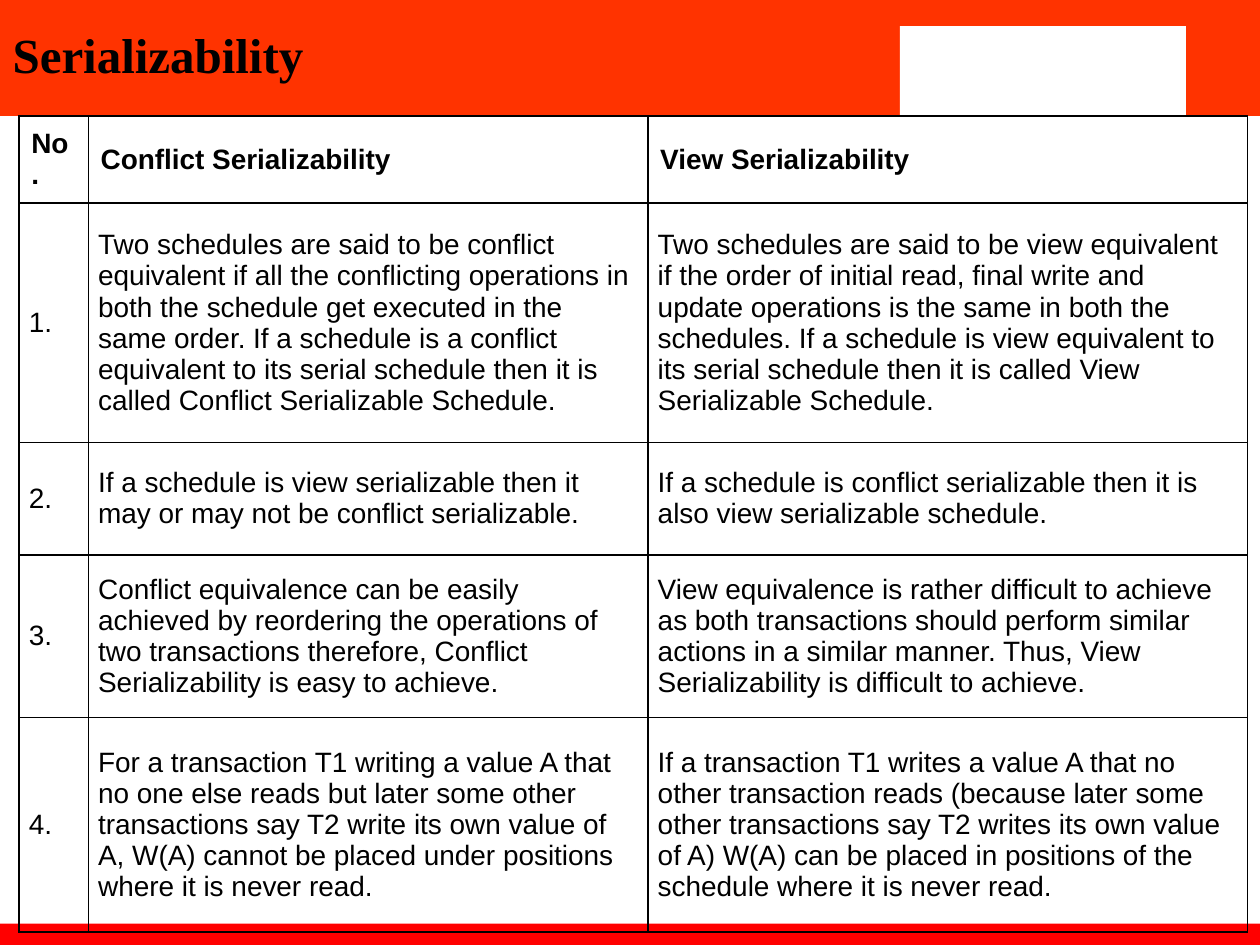
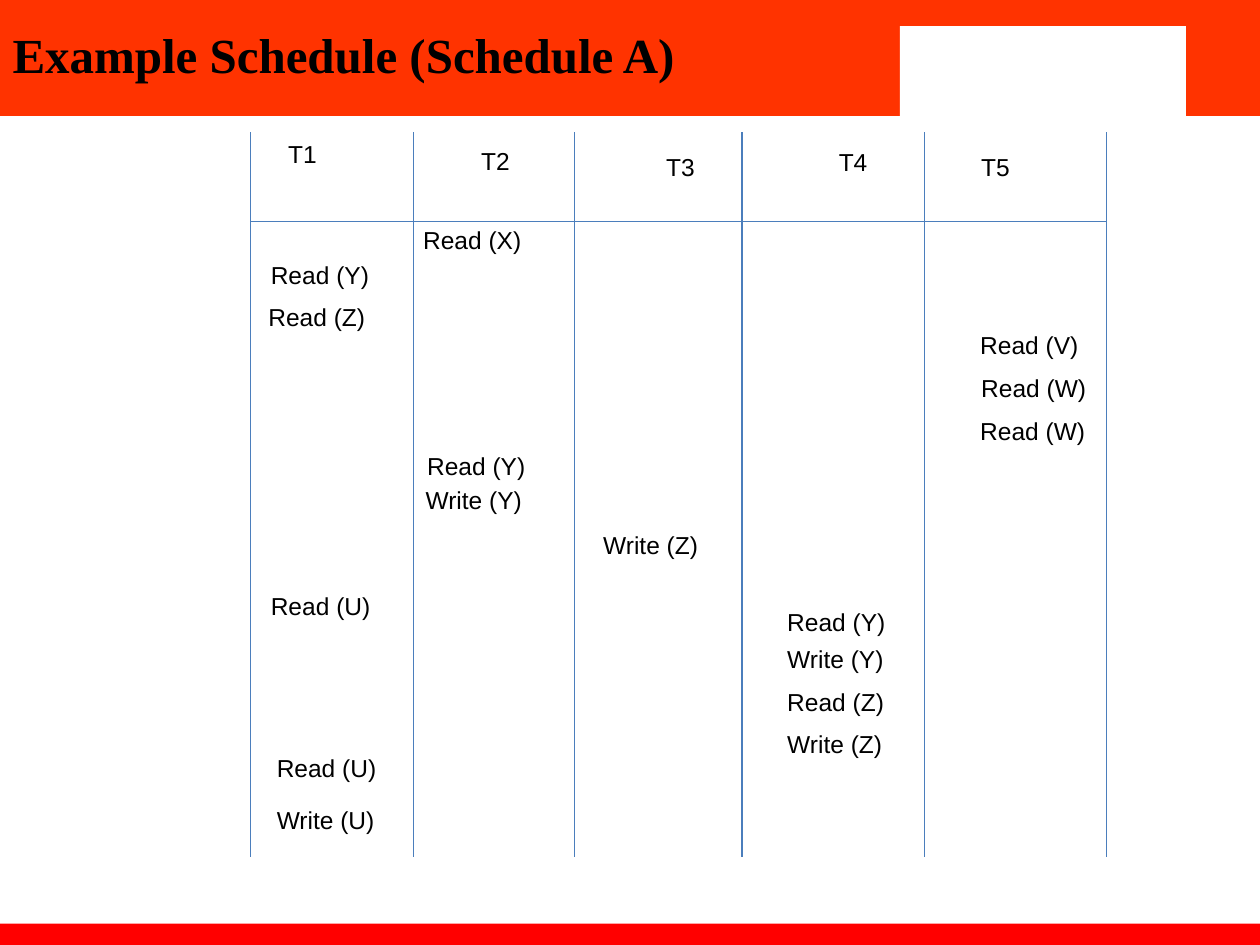
from dataclasses import dataclass

from lxml import etree
from pptx import Presentation
from pptx.dml.color import RGBColor
from pptx.enum.shapes import MSO_CONNECTOR, MSO_SHAPE
from pptx.enum.text import MSO_ANCHOR, MSO_AUTO_SIZE, PP_ALIGN
from pptx.oxml.ns import qn
from pptx.util import Cm, Pt

RECTANGLE = MSO_SHAPE.RECTANGLE
STRAIGHT = MSO_CONNECTOR.STRAIGHT
MIDDLE = MSO_ANCHOR.MIDDLE
TOP = MSO_ANCHOR.TOP
LEFT = PP_ALIGN.LEFT
GROW = MSO_AUTO_SIZE.SHAPE_TO_FIT_TEXT
NO_AUTOFIT = MSO_AUTO_SIZE.NONE

SLIDE_WIDTH, SLIDE_HEIGHT = 25.4, 19.05
HEADER_HEIGHT = 2.34
FOOTER_TOP = 18.62
TITLE_WIDTH = 17.98
TITLE_ONLY = 5

TITLE_FONT, BODY_FONT = "Times New Roman", "Arial"
BLACK, WHITE = "000000", "FFFFFF"
HEADER_RED, FOOTER_RED = "FF3300", "FF0000"
RULE_BLUE = "4B7EBC"


@dataclass
class Band:
    """A filled rectangle behind every slide, measured in centimetres."""
    left: float
    top: float
    width: float
    height: float
    color: str


@dataclass
class Label:
    text: str
    left: float
    top: float


BANDS = [
    Band(0, 0, SLIDE_WIDTH, HEADER_HEIGHT, HEADER_RED),
    Band(0, FOOTER_TOP, SLIDE_WIDTH, SLIDE_HEIGHT - FOOTER_TOP, FOOTER_RED),
    Band(17.07, 0, 8.33, HEADER_HEIGHT, HEADER_RED),
    Band(18.14, 0.53, 5.77, 1.9, WHITE),
]

TABLE_LEFT = 0.38
COLUMN_WIDTHS = [1.4, 11.28, 12.09]
ROW_HEIGHTS = [1.09, 4.83, 2.26, 3.28, 4.32]
COMPARISON = [
    ("No.", "Conflict Serializability", "View Serializability"),
    ("1.",
     "Two schedules are said to be conflict equivalent if all the conflicting operations in "
     "both the schedule get executed in the same order. If a schedule is a conflict equivalent "
     "to its serial schedule then it is called Conflict Serializable Schedule.",
     "Two schedules are said to be view equivalent if the order of initial read, final write "
     "and update operations is the same in both the schedules. If a schedule is view equivalent "
     "to its serial schedule then it is called View Serializable Schedule."),
    ("2.",
     "If a schedule is view serializable then it may or may not be conflict serializable.",
     "If a schedule is conflict serializable then it is also view serializable schedule."),
    ("3.",
     "Conflict equivalence can be easily achieved by reordering the operations of two "
     "transactions therefore, Conflict Serializability is easy to achieve.",
     "View equivalence is rather difficult to achieve as both transactions should perform "
     "similar actions in a similar manner. Thus, View Serializability is difficult to achieve."),
    ("4.",
     "For a transaction T1 writing a value A that no one else reads but later some other "
     "transactions say T2 write its own value of A, W(A) cannot be placed under positions "
     "where it is never read.",
     "If a transaction T1 writes a value A that no other transaction reads (because later some "
     "other transactions say T2 writes its own value of A) W(A) can be placed in positions of "
     "the schedule where it is never read."),
]

GRID_TOP, GRID_BOTTOM = 2.67, 17.27
HEADING_RULE = 4.47
COLUMN_RULES = [5.05, 8.33, 11.58, 14.96, 18.64, 22.3]
LABEL_HEIGHT = 0.86
TRANSACTION_WIDTH, OPERATION_WIDTH = 1.45, 2.92
TRANSACTIONS = [
    Label("T1", 5.56, 2.67),
    Label("T2", 9.45, 2.82),
    Label("T3", 13.18, 2.95),
    Label("T4", 16.66, 2.84),
    Label("T5", 19.53, 2.95),
]
OPERATIONS = [
    Label("Read (X)", 8.28, 4.42),
    Label("Read (Y)", 5.21, 5.11),
    Label("Read (Z)", 5.16, 5.97),
    Label("Read (V)", 19.51, 6.53),
    Label("Read (W)", 19.53, 7.39),
    Label("Read (W)", 19.51, 8.26),
    Label("Read (Y)", 8.36, 8.97),
    Label("Write (Y)", 8.33, 9.65),
    Label("Write (Z)", 11.91, 10.57),
    Label("Read (U)", 5.21, 11.79),
    Label("Read (Y)", 15.62, 12.12),
    Label("Write (Y)", 15.62, 12.85),
    Label("Read (Z)", 15.62, 13.72),
    Label("Write (Z)", 15.62, 14.58),
    Label("Read (U)", 5.33, 15.06),
    Label("Write (U)", 5.33, 16.1),
]


def rgb(color: str) -> RGBColor:
    return RGBColor.from_string(color)


def write_text(text_frame, text: str, *, size: float, font: str = BODY_FONT,
               bold: bool = False, line_spacing: float = 1.0) -> None:
    text_frame.word_wrap = True
    paragraph = text_frame.paragraphs[0]
    paragraph.alignment = LEFT
    paragraph.line_spacing = line_spacing
    run = paragraph.add_run()
    run.text = text
    run.font.size = Pt(size)
    run.font.name = font
    run.font.bold = bold
    run.font.color.rgb = rgb(BLACK)


def add_bands_to_layout(slide) -> None:
    """Draw the bands on the slide, then move them behind its layout's placeholders."""
    layout_tree = slide.slide_layout.shapes.element
    for index, band in enumerate(BANDS):
        shape = slide.shapes.add_shape(RECTANGLE, Cm(band.left), Cm(band.top),
                                       Cm(band.width), Cm(band.height))
        shape.shadow.inherit = False
        shape.fill.solid()
        shape.fill.fore_color.rgb = rgb(band.color)
        shape.line.fill.background()
        shape.element.nvSpPr.cNvPr.id = 100 + index
        layout_tree.insert(2 + index, shape.element)


def add_titled_slide(presentation, text: str):
    slide = presentation.slides.add_slide(presentation.slide_layouts[TITLE_ONLY])
    title = slide.shapes.title
    title.left, title.top = Cm(0), Cm(0)
    title.width, title.height = Cm(TITLE_WIDTH), Cm(HEADER_HEIGHT)
    title.text_frame.auto_size = NO_AUTOFIT
    title.text_frame.vertical_anchor = MIDDLE
    write_text(title.text_frame, text, size=28, font=TITLE_FONT, bold=True, line_spacing=0.9)
    return slide


def set_borders(cell, color: str, width: float) -> None:
    properties = cell._tc.get_or_add_tcPr()
    for side in ("a:lnL", "a:lnR", "a:lnT", "a:lnB"):
        line = etree.SubElement(properties, qn(side), w=str(Pt(width)))
        fill = etree.SubElement(line, qn("a:solidFill"))
        etree.SubElement(fill, qn("a:srgbClr"), val=color)


def add_comparison_table(slide) -> None:
    table = slide.shapes.add_table(
        len(ROW_HEIGHTS), len(COLUMN_WIDTHS), Cm(TABLE_LEFT), Cm(HEADER_HEIGHT),
        Cm(sum(COLUMN_WIDTHS)), Cm(sum(ROW_HEIGHTS))).table
    table.first_row = table.horz_banding = False
    for column, width in zip(table.columns, COLUMN_WIDTHS):
        column.width = Cm(width)
    for row_index, texts in enumerate(COMPARISON):
        table.rows[row_index].height = Cm(ROW_HEIGHTS[row_index])
        is_heading = row_index == 0
        side_margin, end_margin = (0.25, 0.25) if is_heading else (0.2, 0.28)
        for column_index, text in enumerate(texts):
            cell = table.cell(row_index, column_index)
            cell.margin_left = cell.margin_right = Cm(side_margin)
            cell.margin_top = cell.margin_bottom = Cm(end_margin)
            cell.vertical_anchor = MIDDLE
            set_borders(cell, BLACK, 1)
            cell.fill.background()
            write_text(cell.text_frame, text, size=16, bold=is_heading)


def add_rule(slide, start: tuple[float, float], end: tuple[float, float]) -> None:
    """Draw a thin blue line between two points."""
    connector = slide.shapes.add_connector(STRAIGHT, *map(Cm, start + end))
    connector.line.color.rgb = rgb(RULE_BLUE)
    connector.line.width = Pt(0.75)
    etree.SubElement(connector.element.spPr, qn("a:effectLst"))


def add_label(slide, label: Label, width: float) -> None:
    box = slide.shapes.add_textbox(Cm(label.left), Cm(label.top), Cm(width), Cm(LABEL_HEIGHT))
    box.text_frame.auto_size = GROW
    box.text_frame.vertical_anchor = TOP
    write_text(box.text_frame, label.text, size=14)


def add_schedule(slide) -> None:
    for position in COLUMN_RULES:
        add_rule(slide, (position, GRID_TOP), (position, GRID_BOTTOM))
    add_rule(slide, (COLUMN_RULES[0], HEADING_RULE), (COLUMN_RULES[-1], HEADING_RULE))
    for transaction in TRANSACTIONS:
        add_label(slide, transaction, TRANSACTION_WIDTH)
    for operation in OPERATIONS:
        add_label(slide, operation, OPERATION_WIDTH)


def main() -> None:
    presentation = Presentation()
    presentation.slide_width = Cm(SLIDE_WIDTH)
    presentation.slide_height = Cm(SLIDE_HEIGHT)

    comparison_slide = add_titled_slide(presentation, "Serializability")
    add_bands_to_layout(comparison_slide)
    add_comparison_table(comparison_slide)

    schedule_slide = add_titled_slide(presentation, "Example Schedule (Schedule A)")
    add_schedule(schedule_slide)

    presentation.save("out.pptx")


if __name__ == "__main__":
    main()
